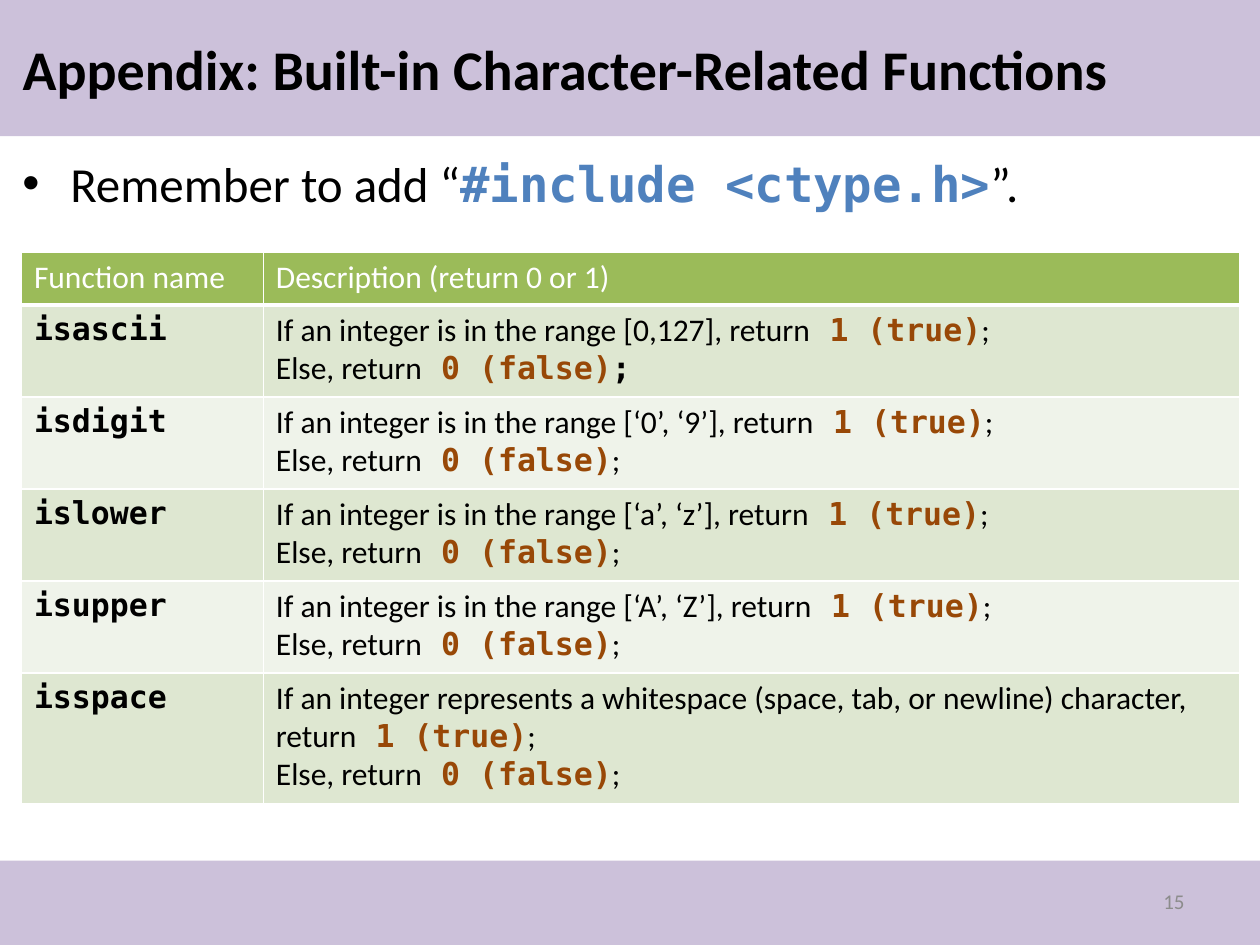
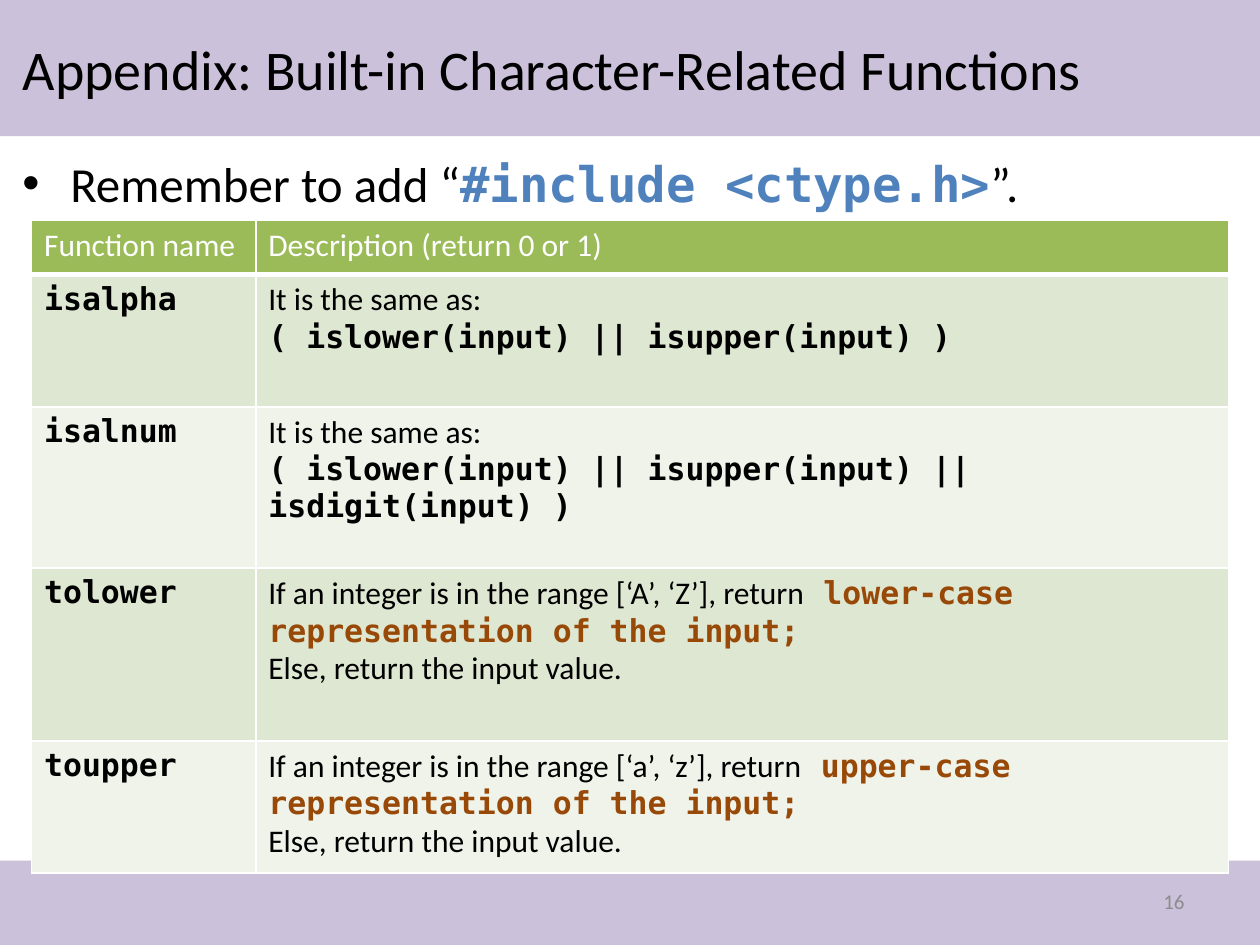
"""Build the two appendix slides on character-related C functions."""
from dataclasses import dataclass

from lxml import etree
from pptx import Presentation
from pptx.dml.color import RGBColor
from pptx.enum.shapes import MSO_SHAPE
from pptx.enum.text import MSO_ANCHOR, MSO_AUTO_SIZE, PP_ALIGN
from pptx.oxml.ns import qn
from pptx.slide import Slide
from pptx.table import _Cell
from pptx.text.text import TextFrame, _Paragraph
from pptx.util import Inches, Pt

RECTANGLE = MSO_SHAPE.RECTANGLE
MIDDLE = MSO_ANCHOR.MIDDLE
NO_AUTOFIT = MSO_AUTO_SIZE.NONE
LEFT, RIGHT = PP_ALIGN.LEFT, PP_ALIGN.RIGHT


@dataclass(frozen=True)
class Theme:
    """Colours, fonts and type sizes of the deck."""
    sans: str = "Calibri"
    mono: str = "DejaVu Sans Mono"
    band: str = "CCC1DA"
    ink: str = "000000"
    white: str = "FFFFFF"
    include: str = "4F81BD"
    result: str = "984807"
    muted: str = "8C8C8C"
    header: str = "9BBB59"
    stripes: tuple[str, str] = ("DEE7D1", "EFF3EA")
    title_size: int = 32
    body_size: int = 28
    table_size: int = 18
    number_size: int = 12
    rule: int = 1
    header_rule: int = 3


THEME = Theme()


@dataclass(frozen=True)
class Style:
    """Look of a run."""
    font: str
    color: str
    bold: bool = False


PLAIN = Style(THEME.sans, THEME.ink)
STRONG = Style(THEME.sans, THEME.ink, True)
CODE = Style(THEME.mono, THEME.ink, True)
RESULT = Style(THEME.mono, THEME.result, True)
INCLUDE = Style(THEME.mono, THEME.include, True)
HEADING = Style(THEME.sans, THEME.white)
NUMBER = Style(THEME.sans, THEME.muted)


@dataclass(frozen=True)
class Piece:
    """A stretch of text in one style."""
    text: str
    style: Style = PLAIN


Line = list[Piece]


@dataclass(frozen=True)
class Box:
    """A place on the slide, in inches."""
    left: float
    top: float
    width: float
    height: float

    def lengths(self) -> tuple[Inches, Inches, Inches, Inches]:
        """Return the place as lengths."""
        return Inches(self.left), Inches(self.top), Inches(self.width), Inches(self.height)


@dataclass(frozen=True)
class Entry:
    """One function with its description and row height."""
    function: str
    description: list[Line]
    height: float


@dataclass(frozen=True)
class Page:
    """What differs from slide to slide."""
    number: int
    title_style: Style
    left: float
    top: float
    columns: tuple[float, float]
    header_height: float
    entries: list[Entry]


TITLE = "Appendix: Built-in Character-Related Functions"
HEADINGS = ("Function name", "Description (return 0 or 1)")
REMINDER = [Piece("Remember to add “"), Piece("#include <ctype.h>", INCLUDE), Piece("”.")]
BANDS = (Box(0, 0, 10, 1.08), Box(0, 6.83, 10, 0.67))
TITLE_BOX = Box(0.08, 0.08, 9.84, 0.92)
REMINDER_BOX = Box(0.08, 1.17, 9.77, 5.58)
NUMBER_BOX = Box(7.17, 6.95, 2.33, 0.4)
BULLET_INDENT = 0.38


def check(function: str, condition: str, height: float = 0.73, end: Style = PLAIN) -> Entry:
    """Describe a function that answers true or false."""
    return Entry(function, [
        [Piece(f"If an integer {condition}, return"), Piece(" 1 (true)", RESULT), Piece(";")],
        [Piece("Else, return"), Piece(" 0 (false)", RESULT), Piece(";", end)],
    ], height)


def combination(function: str, expression: str, height: float) -> Entry:
    """Describe a function by an equivalent expression."""
    return Entry(function, [[Piece("It is the same as:")], [Piece(expression, CODE)]], height)


def conversion(function: str, interval: str, case: str, height: float) -> Entry:
    """Describe a function that changes the case of a letter."""
    return Entry(function, [
        [Piece(f"If an integer is in the range {interval}, return"),
         Piece(f" {case}-case representation of the input;", RESULT)],
        [Piece("Else, return the input value.")],
    ], height)


PAGES = [
    Page(15, STRONG, 0.17, 2, (1.92, 7.75), 0.42, [
        check("isascii", "is in the range [0,127]", end=CODE),
        check("isdigit", "is in the range [‘0’, ‘9’]"),
        check("islower", "is in the range [‘a’, ‘z’]"),
        check("isupper", "is in the range [‘A’, ‘Z’]"),
        check("isspace", "represents a whitespace (space, tab, or newline) character", 1.04),
    ]),
    Page(16, PLAIN, 0.25, 1.75, (1.78, 7.72), 0.43, [
        combination("isalpha", "( islower(input) || isupper(input) )", 1.05),
        combination("isalnum", "( islower(input) || isupper(input) || isdigit(input) )", 1.28),
        conversion("tolower", "[‘A’, ‘Z’]", "lower", 1.37),
        conversion("toupper", "[‘a’, ‘z’]", "upper", 1.05),
    ]),
]


def write_line(paragraph: _Paragraph, line: Line, size: int) -> None:
    """Add the pieces of a line run by run."""
    for piece in line:
        run = paragraph.add_run()
        run.text = piece.text
        run.font.name = piece.style.font
        run.font.size = Pt(size)
        run.font.bold = piece.style.bold
        run.font.color.rgb = RGBColor.from_string(piece.style.color)


def write_lines(frame: TextFrame, lines: list[Line], size: int) -> None:
    """Fill a text frame with one paragraph per line."""
    for index, line in enumerate(lines):
        paragraph = frame.add_paragraph() if index else frame.paragraphs[0]
        write_line(paragraph, line, size)


def add_bands(slide: Slide) -> None:
    """Draw the bands behind everything else."""
    for box in BANDS:
        band = slide.shapes.add_shape(RECTANGLE, *box.lengths())
        band.shadow.inherit = False
        band.fill.solid()
        band.fill.fore_color.rgb = RGBColor.from_string(THEME.band)
        band.line.fill.background()
        slide.shapes._spTree.insert(2, band._element)


def set_title(slide: Slide, style: Style) -> None:
    """Place and fill the title placeholder."""
    title = slide.shapes.title
    title.left, title.top, title.width, title.height = TITLE_BOX.lengths()
    frame = title.text_frame
    frame.word_wrap = True
    frame.auto_size = NO_AUTOFIT
    frame.vertical_anchor = MIDDLE
    frame.paragraphs[0].alignment = LEFT
    write_lines(frame, [[Piece(TITLE, style)]], THEME.title_size)


def add_text(slide: Slide, box: Box, line: Line, size: int) -> TextFrame:
    """Add a wrapping text box with one line."""
    frame = slide.shapes.add_textbox(*box.lengths()).text_frame
    frame.word_wrap = True
    write_lines(frame, [line], size)
    return frame


def add_reminder(slide: Slide) -> None:
    """Add the bulleted reminder."""
    frame = add_text(slide, REMINDER_BOX, REMINDER, THEME.body_size)
    properties = frame.paragraphs[0]._p.get_or_add_pPr()
    properties.set("marL", str(Inches(BULLET_INDENT)))
    properties.set("indent", str(-Inches(BULLET_INDENT)))
    etree.SubElement(properties, qn("a:buFont"), typeface="Arial")
    etree.SubElement(properties, qn("a:buChar"), char="•")


def add_number(slide: Slide, number: int) -> None:
    """Add the slide number in the lower band."""
    frame = add_text(slide, NUMBER_BOX, [Piece(str(number), NUMBER)], THEME.number_size)
    frame.vertical_anchor = MIDDLE
    frame.paragraphs[0].alignment = RIGHT


def fill_cell(cell: _Cell, lines: list[Line], color: str, bottom_rule: int) -> None:
    """Write a cell and set its borders and fill."""
    write_lines(cell.text_frame, lines, THEME.table_size)
    properties = cell._tc.get_or_add_tcPr()
    for side in "LRTB":
        width = Pt(bottom_rule if side == "B" else THEME.rule)
        border = etree.SubElement(properties, qn(f"a:ln{side}"), w=str(width))
        paint = etree.SubElement(border, qn("a:solidFill"))
        etree.SubElement(paint, qn("a:srgbClr"), val=THEME.white)
    cell.fill.solid()
    cell.fill.fore_color.rgb = RGBColor.from_string(color)


def add_functions(slide: Slide, page: Page) -> None:
    """Add the table of functions."""
    heights = [page.header_height, *(entry.height for entry in page.entries)]
    box = Box(page.left, page.top, sum(page.columns), sum(heights))
    functions = slide.shapes.add_table(len(heights), len(page.columns), *box.lengths()).table
    for column, width in zip(functions.columns, page.columns):
        column.width = Inches(width)
    for row, height in zip(functions.rows, heights):
        row.height = Inches(height)
    for index, heading in enumerate(HEADINGS):
        fill_cell(functions.cell(0, index), [[Piece(heading, HEADING)]],
                  THEME.header, THEME.header_rule)
    for index, entry in enumerate(page.entries):
        stripe = THEME.stripes[index % 2]
        contents = ([[Piece(entry.function, CODE)]], entry.description)
        for column, lines in enumerate(contents):
            fill_cell(functions.cell(index + 1, column), lines, stripe, THEME.rule)


def main() -> None:
    """Build and save the deck."""
    deck = Presentation()
    deck.slide_width, deck.slide_height = Inches(10), Inches(7.5)
    title_only = deck.slide_layouts.get_by_name("Title Only")
    for page in PAGES:
        slide = deck.slides.add_slide(title_only)
        add_bands(slide)
        set_title(slide, page.title_style)
        add_reminder(slide)
        add_number(slide, page.number)
        add_functions(slide, page)
    deck.save("out.pptx")


if __name__ == "__main__":
    main()
